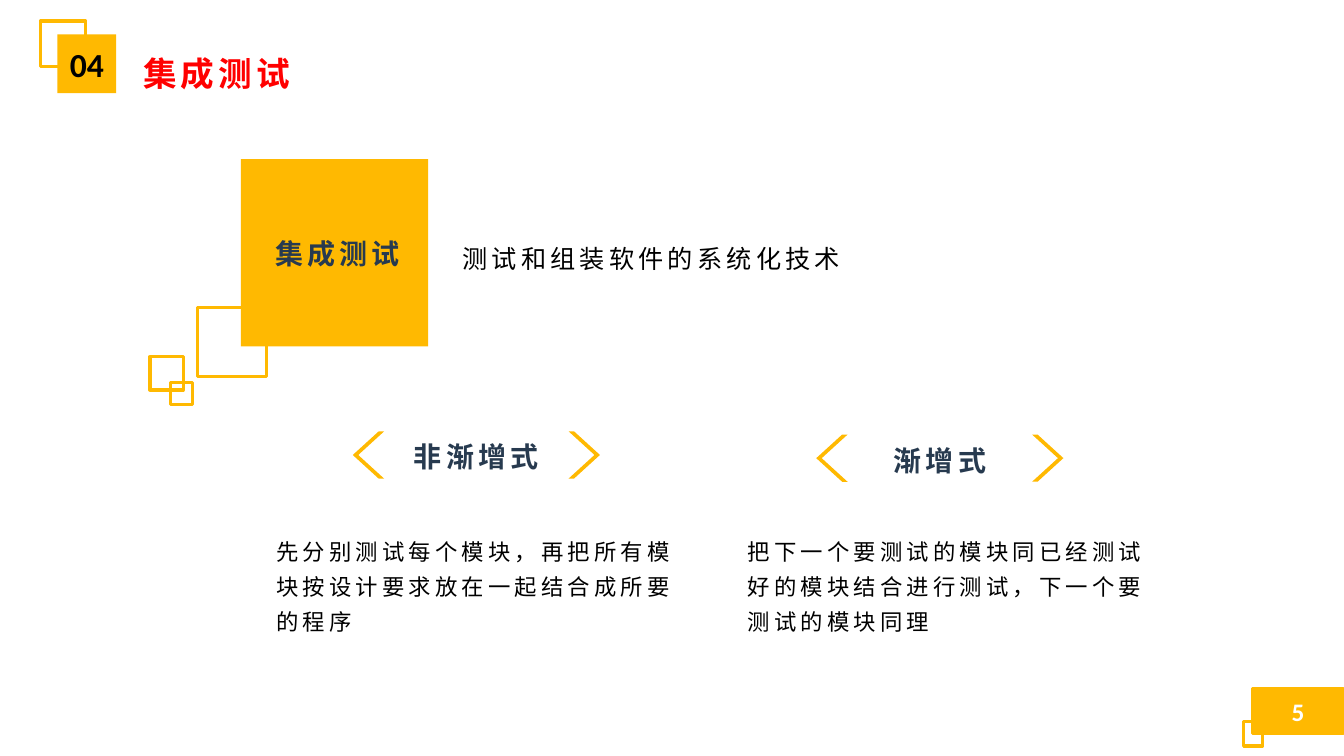
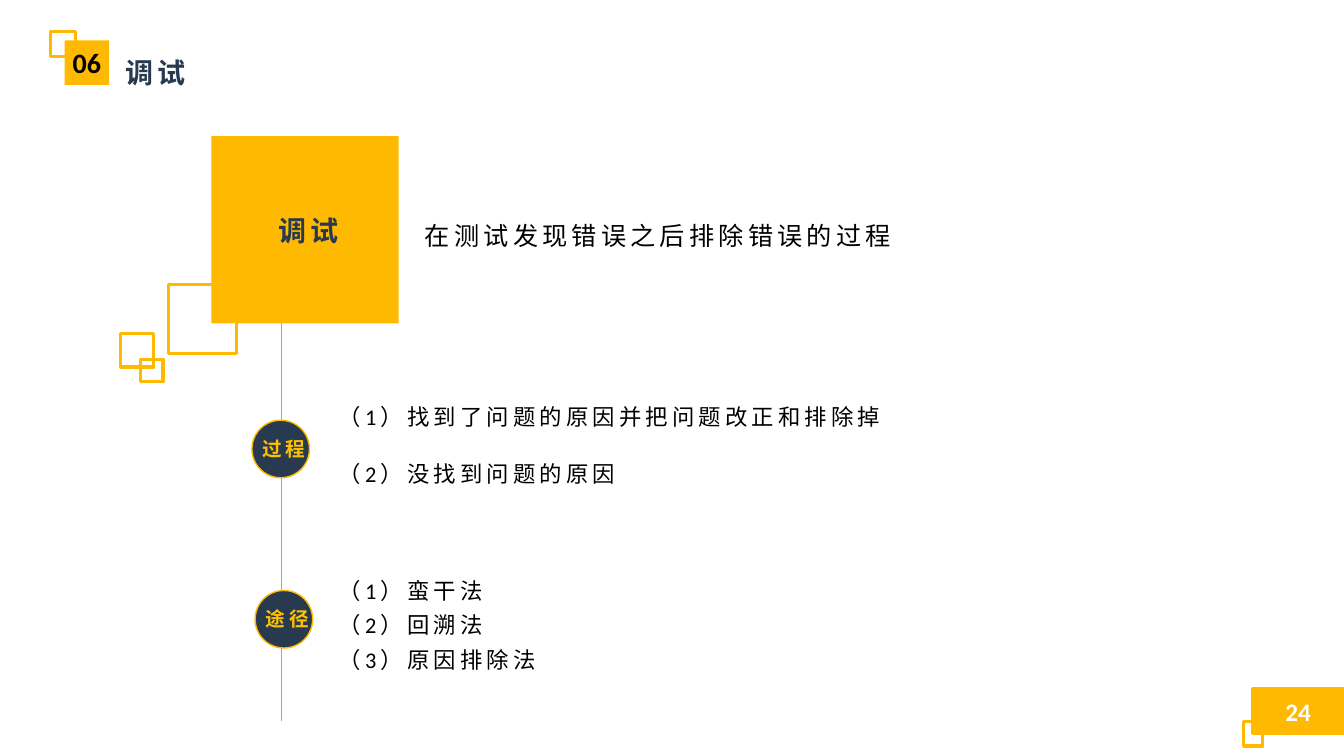
from lxml import etree
from pptx import Presentation
from pptx import util as u
from pptx.dml.color import RGBColor
from pptx.enum import shapes, text
from pptx.oxml import ns

AMBER = RGBColor(0xFF, 0xB9, 0x01)
GOLD = RGBColor(0xFF, 0xC0, 0x00)
NAVY = RGBColor(0x27, 0x3A, 0x4F)
RED = RGBColor(0xFF, 0x00, 0x00)
GRAY = RGBColor(0xA6, 0xA6, 0xA6)
BLACK = RGBColor(0x00, 0x00, 0x00)
WHITE = RGBColor(0xFF, 0xFF, 0xFF)
FONT = "Calibri"
TWO_CONTENT = 3
RECT = shapes.MSO_SHAPE.RECTANGLE
LEFT, CENTER = text.PP_ALIGN.LEFT, text.PP_ALIGN.CENTER
TOP, MIDDLE = text.MSO_ANCHOR.TOP, text.MSO_ANCHOR.MIDDLE


class Deck:
    def __init__(self):
        self.prs = Presentation()
        self.prs.slide_width = u.Cm(33.87)
        self.prs.slide_height = u.Cm(19.05)
        self.slide = None

    def typeset(self, shape, words, size, color=BLACK, bold=False, align=LEFT,
                anchor=TOP, leading=1.0, tracking=300, after=0):
        frame = shape.text_frame
        frame.text = words
        frame.word_wrap = True
        frame.auto_size = text.MSO_AUTO_SIZE.NONE
        frame.vertical_anchor = anchor
        for paragraph in frame.paragraphs:
            paragraph.alignment = align
            paragraph.line_spacing = leading
            paragraph.space_before = u.Pt(0)
            paragraph.space_after = u.Pt(after)
            for run in paragraph.runs:
                run.font.name = FONT
                run.font.size = u.Pt(size)
                run.font.bold = bold
                run.font.color.rgb = color
                run.font._element.set("spc", str(tracking))

    def place(self, shape, left, top, width, height):
        shape.left, shape.top = u.Cm(left), u.Cm(top)
        shape.width, shape.height = u.Cm(width), u.Cm(height)

    def shape(self, kind, left, top, width, height, fill=None, line=None, weight=2.25):
        item = self.slide.shapes.add_shape(
            kind, u.Cm(left), u.Cm(top), u.Cm(width), u.Cm(height))
        item.shadow.inherit = False
        if fill is None:
            item.fill.background()
        else:
            item.fill.solid()
            item.fill.fore_color.rgb = fill
        if line is None:
            item.line.fill.background()
        else:
            item.line.color.rgb = line
            item.line.width = u.Pt(weight)
        return item

    def label(self, words, left, top, width, height, size, **style):
        box = self.slide.shapes.add_textbox(
            u.Cm(left), u.Cm(top), u.Cm(width), u.Cm(height))
        self.typeset(box, words, size, **style)

    def body(self, index, words, left, top, width, height, after=0):
        holder = self.slide.placeholders[index]
        self.place(holder, left, top, width, height)
        self.typeset(holder, words, 16, leading=1.3, after=after)
        for paragraph in holder.text_frame.paragraphs:
            props = paragraph._p.get_or_add_pPr()
            props.set("marL", "0")
            props.set("indent", "0")
            etree.SubElement(props, ns.qn("a:buNone"))

    def page(self, section, title, number, size, color, outline, badge, title_at):
        layout = self.prs.slide_layouts[TWO_CONTENT]
        self.slide = self.prs.slides.add_slide(layout)
        heading = self.slide.shapes.title
        self.place(heading, *title_at, 8, 1.45)
        self.typeset(heading, title, size, color, True, leading=1.3)
        x, y, side = outline
        self.shape(RECT, x, y, side, side, line=AMBER)
        x, y, side = badge
        marker = self.shape(RECT, x, y, side, side, AMBER)
        marker.text_frame.margin_left = marker.text_frame.margin_right = 0
        self.typeset(marker, section, size, bold=True, align=CENTER,
                     anchor=MIDDLE, tracking=0)
        folio = self.shape(RECT, 31.57, 17.35, 2.29, 1.14, AMBER, AMBER)
        self.typeset(folio, number, 18, WHITE, True, CENTER, MIDDLE, tracking=0)
        self.shape(RECT, 31.34, 18.19, 0.48, 0.61, line=AMBER)

    def topic(self, name, meaning, left, top, meaning_left):
        for dx, dy, side in ((-1.09, 3.75, 1.73), (-2.29, 4.98, 0.84), (-1.78, 5.63, 0.56)):
            self.shape(RECT, left + dx, top + dy, side, side, line=AMBER)
        self.shape(RECT, left, top, 4.72, 4.72, AMBER)
        self.label(name, left + 0.08, top + 1.83, 4.72, 1.12, 20,
                   color=NAVY, bold=True, align=CENTER)
        self.label(meaning, meaning_left, top + 1.76, 17.78, 1.17, 18, leading=1.3)

    def bracketed(self, name, left, top):
        for dx, turn in ((0, 180), (5.44, 0)):
            chevron = self.shape(shapes.MSO_SHAPE.CHEVRON, left + dx, top, 0.79, 1.19, AMBER)
            chevron.adjustments[0] = 0.826
            chevron.rotation = turn
        self.label(name, left, top + 0.09, 6.23, 1.12, 20,
                   color=NAVY, bold=True, align=CENTER)

    def timeline(self, x, top, bottom):
        axis = self.slide.shapes.add_connector(
            shapes.MSO_CONNECTOR.STRAIGHT, u.Cm(x), u.Cm(top), u.Cm(x), u.Cm(bottom))
        axis.line.color.rgb = GRAY
        axis.line.width = u.Pt(0.5)
        etree.SubElement(axis._element.spPr, ns.qn("a:effectLst"))

    def node(self, name, left, top):
        self.shape(shapes.MSO_SHAPE.OVAL, left, top, 1.45, 1.45, NAVY, AMBER, 1)
        self.label(name, left - 0.25, top + 0.3, 2.11, 0.86, 14,
                   color=GOLD, bold=True, align=CENTER)


deck = Deck()

deck.page("04", "集成测试", "5", 24, RED,
          (1.02, 0.53, 1.14), (1.45, 0.87, 1.48), (3.35, 0.89))
deck.topic("集成测试", "测试和组装软件的系统化技术", 6.07, 4.01, 11.4)
approaches = (
    ("非渐增式", 8.89, 10.87, 6.71,
     "先分别测试每个模块，再把所有模块按设计要求放在一起结合成所要的程序"),
    ("渐增式", 20.57, 10.95, 18.59,
     "把下一个要测试的模块同已经测试好的模块结合进行测试，下一个要测试的模块同理"),
)
for index, (name, left, top, body_left, detail) in enumerate(approaches, 1):
    deck.bracketed(name, left, top)
    deck.body(index, detail, body_left, 13.23, 11.07, 2.84)

deck.page("06", "调试", "24", 20, NAVY,
          (1.27, 0.79, 0.64), (1.63, 1.02, 1.12), (2.9, 1.02))
deck.timeline(7.09, 8.03, 18.16)
deck.topic("调试", "在测试发现错误之后排除错误的过程", 5.33, 3.43, 10.46)
deck.node("过程", 6.35, 10.59)
deck.body(1, "（1）找到了问题的原因并把问题改正和排除掉\n（2）没找到问题的原因",
          8.28, 9.83, 19.23, 2.51, after=16)
deck.node("途径", 6.43, 14.88)
deck.body(2, "（1）蛮干法\n（2）回溯法\n（3）原因排除法", 8.28, 14.2, 19.23, 2.84)

deck.prs.save("out.pptx")
